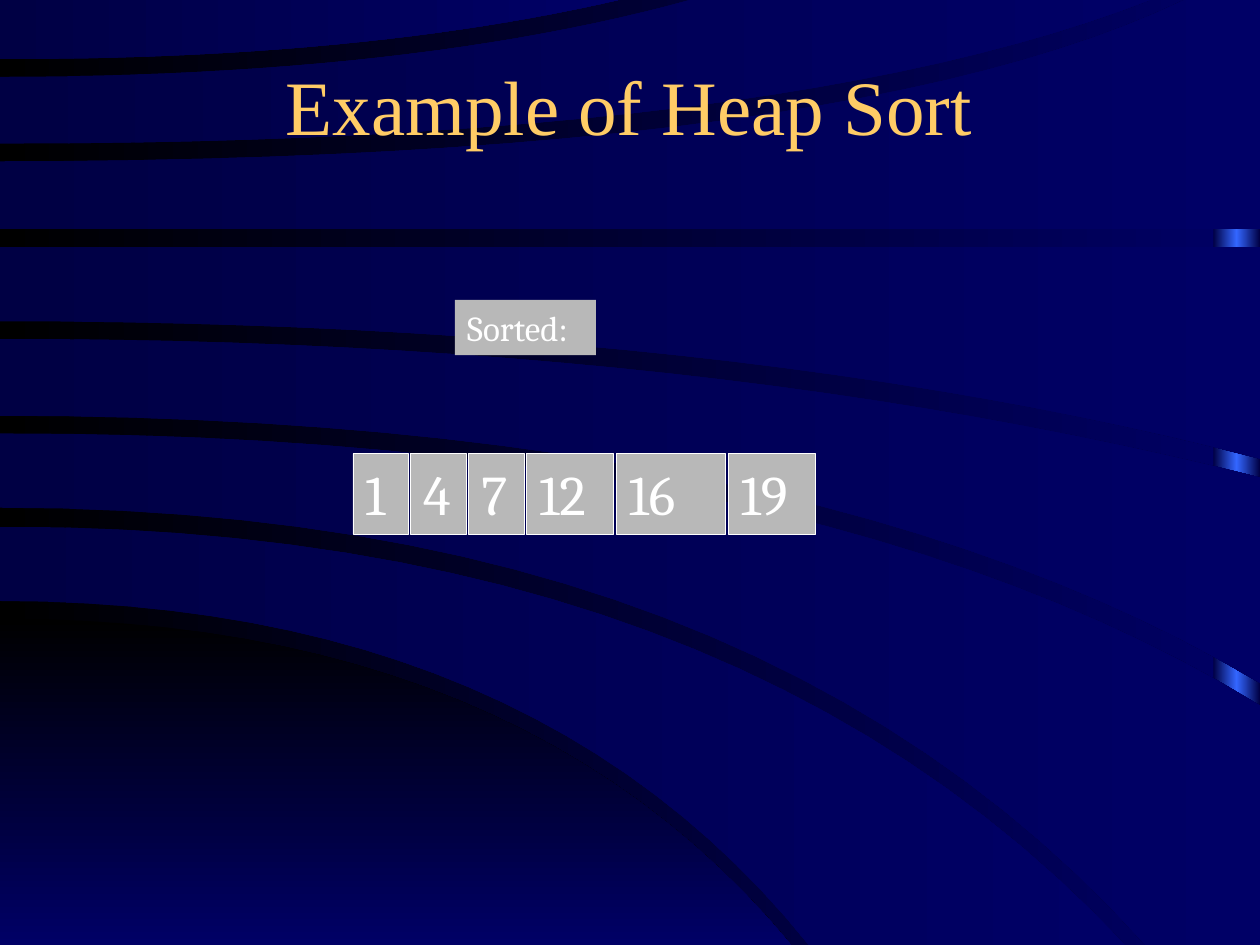
from copy import deepcopy

from pptx import Presentation
from pptx.dml.color import RGBColor
from pptx.enum.shapes import MSO_SHAPE
from pptx.enum.text import MSO_ANCHOR, MSO_AUTO_SIZE, PP_ALIGN
from pptx.util import Inches, Pt

RECTANGLE = MSO_SHAPE.RECTANGLE
TOP, MIDDLE = MSO_ANCHOR.TOP, MSO_ANCHOR.MIDDLE
LEFT, CENTER = PP_ALIGN.LEFT, PP_ALIGN.CENTER
GROW, FIXED = MSO_AUTO_SIZE.SHAPE_TO_FIT_TEXT, MSO_AUTO_SIZE.NONE

BLACK = RGBColor(0x00, 0x00, 0x00)
NAVY = RGBColor(0x00, 0x00, 0x66)
MIDNIGHT = RGBColor(0x00, 0x00, 0x44)
BRIGHT_BLUE = RGBColor(0x33, 0x66, 0xFF)
GREY = RGBColor(0xB8, 0xB8, 0xB8)
WHITE = RGBColor(0xFF, 0xFF, 0xFF)
GOLD = RGBColor(0xFF, 0xCC, 0x66)

COLUMNS, ROWS = 10, 7.5
DOWNWARD = 270
CURVE_STEPS = 24


def arc(start_row, bend, end_column, end_row):
    points = []
    for step in range(CURVE_STEPS + 1):
        share = step / CURVE_STEPS
        column = 2 * bend * share * (1 - share) + end_column * share ** 2
        points.append((column, start_row + (end_row - start_row) * share ** 2))
    return points


def level(row, end_column=COLUMNS):
    return [(0, row), (end_column, row)]


HILL = arc(4.91, 4.14, 6.28, ROWS)
BANDS = [
    (arc(4.18, 5.83, 8.93, ROWS), arc(4.77, 4.23, 6.42, ROWS)),
    (arc(3.44, 6.48, COLUMNS, 5.6) + [(COLUMNS, ROWS)], arc(4.03, 5.98, 9.09, ROWS)),
    (arc(2.69, 5.63, COLUMNS, 3.79), arc(3.3, 6.44, COLUMNS, 5.42)),
    (level(1.96), arc(2.55, 5.82, COLUMNS, 3.64)),
    (arc(1.28, 6.73, 9.4, 0) + [(COLUMNS, 0)], level(1.82)),
    (arc(0.61, 3.27, 5.48, 0), arc(1.14, 6.21, 9.13, 0)),
    (level(0, 4.91), arc(0.47, 2.88, 4.91, 0)),
]

SORTED_CELLS = [("1", 0.44), ("4", 0.44), ("7", 0.44), ("12", 0.69), ("16", 0.87), ("19", 0.69)]
CELL_GAP = 0.02


def write(shape, text, *, size, font, color, align=LEFT, anchor=TOP, wrap=False, fit=GROW):
    frame = shape.text_frame
    frame.word_wrap = wrap
    frame.auto_size = fit
    frame.vertical_anchor = anchor
    paragraph = frame.paragraphs[0]
    paragraph.alignment = align
    run = paragraph.add_run()
    run.text = text
    run.font.size = Pt(size)
    run.font.name = font
    run.font.color.rgb = color


class Deck:
    title_style = dict(size=44, font="Times New Roman", color=GOLD,
                       align=CENTER, anchor=MIDDLE, wrap=True, fit=FIXED)
    box_style = dict(font="Cambria", color=WHITE)

    def __init__(self):
        self.presentation = Presentation()
        self.presentation.slide_width = Inches(COLUMNS)
        self.presentation.slide_height = Inches(ROWS)
        self.slide = self.presentation.slides.add_slide(self.presentation.slide_layouts[6])

    def place(self, *grid):
        column_width = self.presentation.slide_width / COLUMNS
        return [round(length * column_width) for length in grid]

    def gradient(self, fill, colors, angle=0):
        fill.gradient()
        fill.gradient_angle = angle
        first_stop = fill.gradient_stops[0]._gs
        for _ in colors[2:]:
            first_stop.addnext(deepcopy(first_stop))
        for index, (stop, color) in enumerate(zip(fill.gradient_stops, colors)):
            stop.position = index / (len(colors) - 1)
            stop.color.rgb = color

    def backdrop(self, colors):
        self.gradient(self.slide.background.fill, colors)

    def rectangle(self, *grid):
        shape = self.slide.shapes.add_shape(RECTANGLE, *self.place(*grid))
        shape.shadow.inherit = False
        shape.line.fill.background()
        return shape

    def strip(self, *grid, colors):
        self.gradient(self.rectangle(*grid).fill, colors)

    def band(self, upper, lower, colors, angle=0):
        start, *rest = [self.place(*point) for point in upper + lower[::-1]]
        builder = self.slide.shapes.build_freeform(*start)
        builder.add_line_segments(rest)
        shape = builder.convert_to_shape()
        shape.shadow.inherit = False
        shape.line.fill.background()
        self.gradient(shape.fill, colors, angle)

    def box(self, text, *grid, size, outlined=False):
        shape = self.rectangle(*grid)
        shape.fill.solid()
        shape.fill.fore_color.rgb = GREY
        if outlined:
            shape.line.color.rgb = WHITE
            shape.line.width = Pt(0.25)
        write(shape, text, size=size, **self.box_style)

    def title(self, text, *grid):
        write(self.slide.shapes.add_textbox(*self.place(*grid)), text, **self.title_style)


def main():
    deck = Deck()
    deck.backdrop([BLACK, NAVY])
    deck.strip(9.63, 0, 0.37, ROWS, colors=[MIDNIGHT, BRIGHT_BLUE, MIDNIGHT])
    deck.band(HILL, [(0, ROWS)], [BLACK, NAVY], DOWNWARD)
    for upper, lower in BANDS:
        deck.band(upper, lower, [MIDNIGHT, NAVY])

    left = 2.8
    for number, width in SORTED_CELLS:
        deck.box(number, left, 3.6, width, 0.64, size=32, outlined=True)
        left += width + CELL_GAP
    deck.box("Sorted:", 3.61, 2.38, 1.12, 0.44, size=20)
    deck.title("Example of Heap Sort", 0.33, 0.42, 9.33, 0.83)
    deck.presentation.save("out.pptx")


if __name__ == "__main__":
    main()
